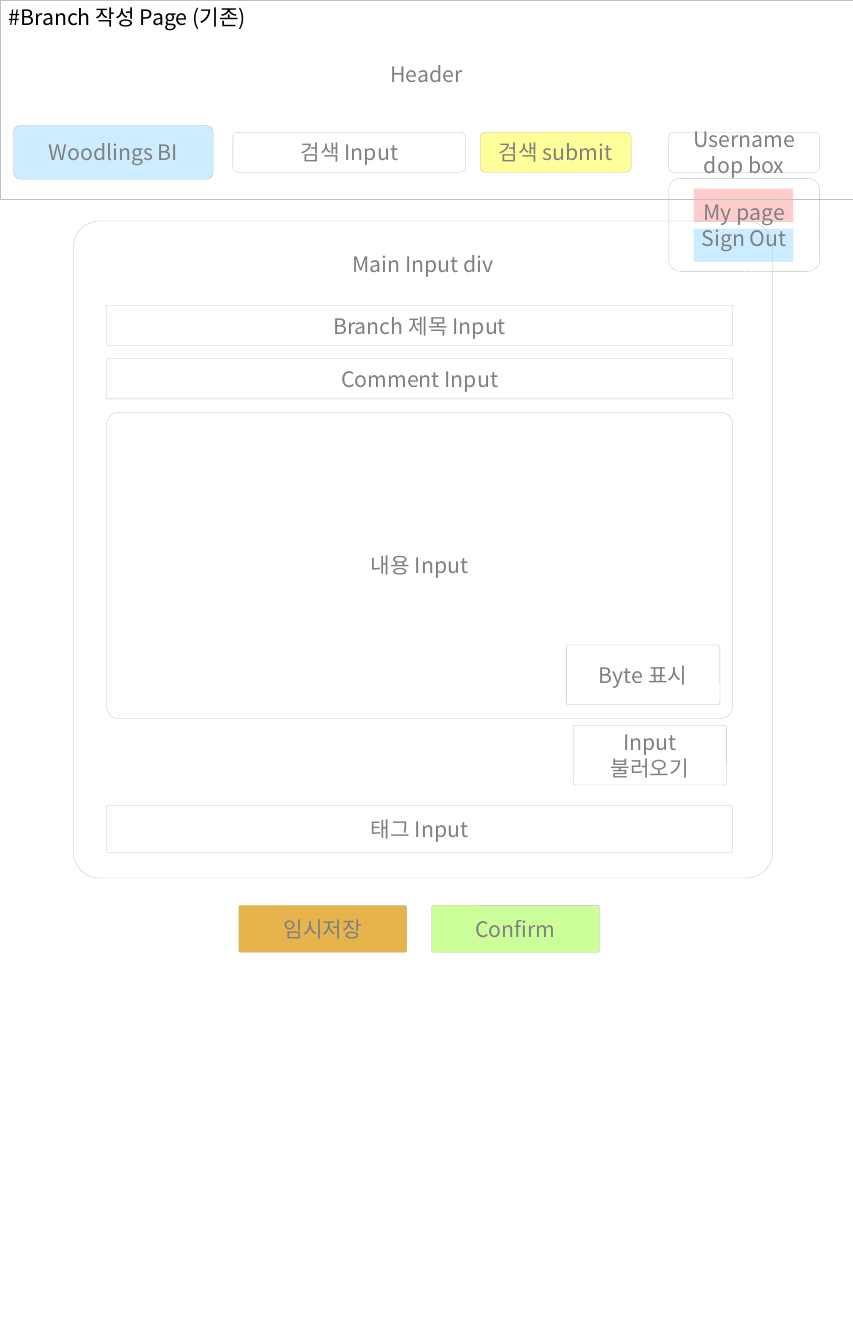
from dataclasses import dataclass

from lxml import etree
from pptx import Presentation
from pptx import util as u
from pptx.dml.color import RGBColor
from pptx.enum import dml, shapes, text
from pptx.oxml.ns import qn


@dataclass(frozen=True)
class Theme:
    font: str = "Noto Sans CJK KR"
    size: float = 18
    hair: float = 0.25
    ink: str = "000000"
    gray: str = "808080"
    edge: str = "BFBFBF"
    sky: str = "CCECFF"
    pink: str = "FFCCCC"
    lemon: str = "FFFF99"
    amber: str = "E6B34C"
    lime: str = "CCFF99"


THEME = Theme()
TIGHT, SOFT = 0.04, 0.124


def paint(fill, tint):
    if tint:
        fill.solid()
        fill.fore_color.rgb = RGBColor.from_string(tint)
    else:
        fill.background()


def write(frame, lines, tint, align):
    frame.word_wrap = True
    for i, line in enumerate(lines):
        para = frame.paragraphs[0] if i == 0 else frame.add_paragraph()
        para.alignment = align
        run = para.add_run()
        run.text = line
        run.font.size = u.Pt(THEME.size)
        run.font.color.rgb = RGBColor.from_string(tint)
        run.font.name = THEME.font
        east = etree.SubElement(run._r.get_or_add_rPr(), qn("a:ea"))
        east.set("typeface", THEME.font)


def place(slide, kind, area, fill):
    shape = slide.shapes.add_shape(kind, *map(u.Pt, area))
    shape.shadow.inherit = False
    paint(shape.fill, fill)
    return shape


def band(slide, area, fill):
    place(slide, shapes.MSO_SHAPE.RECTANGLE, area, fill).line.fill.background()


def box(slide, area, *lines, fill=None, curve=TIGHT, inset=None, dash=None):
    kind = shapes.MSO_SHAPE.ROUNDED_RECTANGLE if curve else shapes.MSO_SHAPE.RECTANGLE
    shape = place(slide, kind, area, fill)
    if curve:
        shape.adjustments[0] = curve
    paint(shape.line.fill, THEME.edge)
    shape.line.width = u.Pt(THEME.hair)
    if dash:
        shape.line.dash_style = dash
    frame = shape.text_frame
    frame.vertical_anchor = text.MSO_ANCHOR.MIDDLE
    if inset is not None:
        frame.vertical_anchor = text.MSO_ANCHOR.TOP
        frame.margin_top = u.Pt(inset)
    write(frame, lines, THEME.gray, text.PP_ALIGN.CENTER)


def title(slide, area, line):
    head = slide.shapes.title
    head.left, head.top, head.width, head.height = map(u.Pt, area)
    frame = head.text_frame
    frame.auto_size = text.MSO_AUTO_SIZE.NONE
    frame.vertical_anchor = text.MSO_ANCHOR.TOP
    write(frame, [line], THEME.ink, text.PP_ALIGN.LEFT)


def header(slide):
    for i, fill in enumerate((THEME.pink, THEME.sky)):
        band(slide, (585.4, 159.1 + 33.8 * i, 84.2, 28.1), fill)
    box(slide, (0, 0, 720, 167.8), "Header", curve=None, inset=51.6)
    box(slide, (11.5, 105.8, 168.5, 45.4), "Woodlings BI", fill=THEME.sky, curve=SOFT)
    for left, width, label, fill in (
        (196.6, 196.6, "검색 Input", None),
        (405.4, 127.4, "검색 submit", THEME.lemon),
        (564.5, 127.4, "Username dop box", None),
    ):
        box(slide, (left, 111.6, width, 33.8), label, fill=fill, curve=SOFT)
    box(slide, (564.5, 150.5, 127.4, 78.5), "My page", "Sign Out",
        curve=SOFT, dash=dml.MSO_LINE.SQUARE_DOT)


def form(slide):
    left, top, width, step = 90, 257.8, 528.5, 45
    box(slide, (61.9, 186.5, 590.4, 554.4), "Main Input div", inset=19)
    for i, label in enumerate(("Branch 제목 Input", "Comment Input")):
        box(slide, (left, top + step * i, width, 33.8), label)
    box(slide, (left, top + step * 2, width, 258.5), "내용 Input")
    box(slide, (478.1, 544.3, 129.6, 50.4), "Byte 표시")
    box(slide, (483.8, 612, 129.6, 50.4), "Input", "불러오기")
    box(slide, (left, 679.7, width, 39.6), "태그 Input")


def actions(slide):
    for i, (label, fill) in enumerate((("임시저장", THEME.amber), ("Confirm", THEME.lime))):
        box(slide, (201.6 + 162.7 * i, 763.9, 141.8, 39.6), label, fill=fill)


def main():
    deck = Presentation()
    deck.slide_width, deck.slide_height = u.Pt(720), u.Pt(1134)
    slide = deck.slides.add_slide(deck.slide_layouts.get_by_name("Title Only"))
    title(slide, (0, 0, 224.6, 28.8), "#Branch 작성 Page (기존)")
    header(slide)
    form(slide)
    actions(slide)
    deck.save("out.pptx")


if __name__ == "__main__":
    main()
